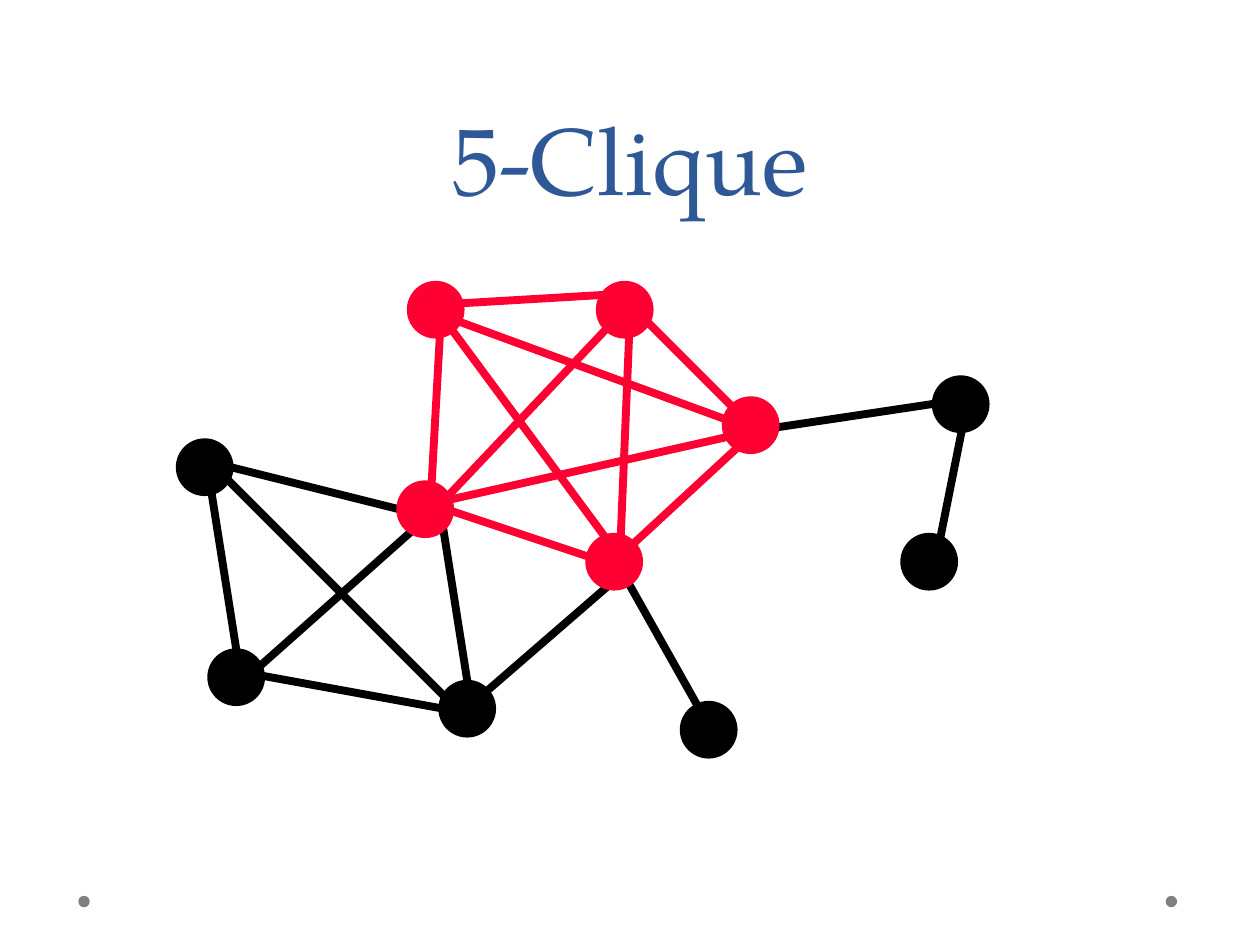
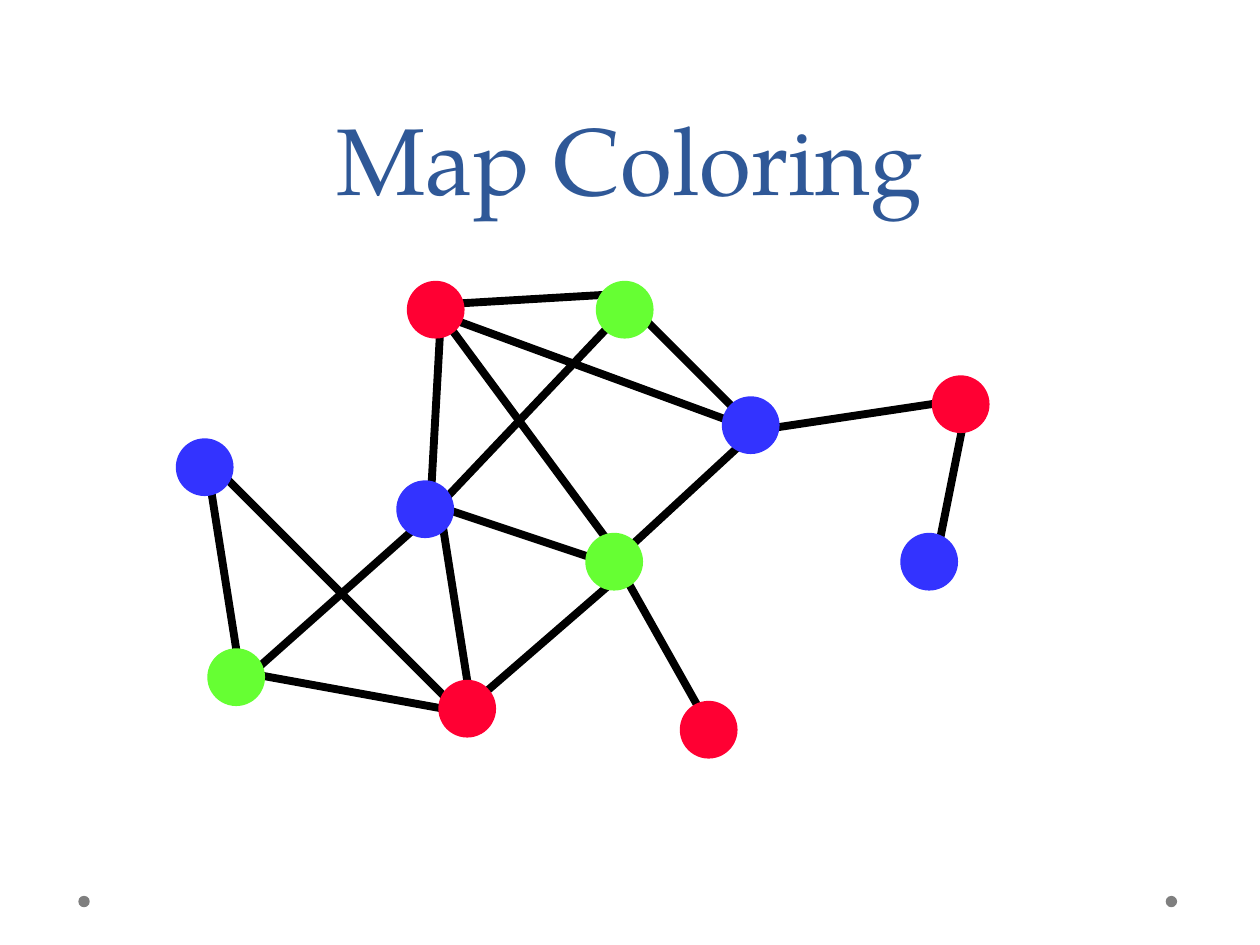
from dataclasses import dataclass

from lxml.etree import SubElement
from pptx import Presentation
from pptx.dml.color import RGBColor
from pptx.enum.shapes import MSO_CONNECTOR, MSO_SHAPE
from pptx.enum.text import MSO_ANCHOR, PP_ALIGN
from pptx.oxml.ns import qn
from pptx.util import Cm, Pt


@dataclass(frozen=True)
class Theme:
    font: str = "TeX Gyre Pagella"
    title_size: int = 54
    title_leading: int = 58
    edge_width: float = 4.5
    node_outline: float = 3
    title: str = "2F5897"
    footer: str = "7F7F7F"
    black: str = "000000"
    red: str = "FF0033"
    green: str = "66FF33"
    blue: str = "3333FF"


THEME = Theme()
GRID_CM = 2.54 / 12
NODE_SIZE = 5

NODES = {
    "top_left": (39, 27),
    "top_right": (57, 27),
    "right": (69, 38),
    "centre": (56, 51),
    "hub": (38, 46),
    "west": (17, 42),
    "southwest": (20, 62),
    "south": (42, 65),
    "tail": (65, 67),
    "east": (89, 36),
    "far_east": (86, 51),
}

EDGES = {
    ("west", "southwest"): (20, 46, 23, 65),
    ("southwest", "hub"): (23, 65, 41, 49),
    ("top_left", "hub"): (42, 30, 41, 48),
    ("hub", "south"): (42, 49, 45, 68),
    ("centre", "hub"): (59, 54, 41, 48),
    ("centre", "south"): (60, 54, 45, 67),
    ("top_right", "centre"): (60, 30, 59, 54),
    ("top_right", "right"): (61, 30, 71, 40),
    ("centre", "tail"): (59, 54, 68, 70),
    ("east", "far_east"): (92, 39, 89, 54),
    ("east", "right"): (92, 38, 72, 41),
    ("top_right", "top_left"): (59, 28, 42, 29),
    ("top_right", "hub"): (59, 30, 41, 49),
    ("top_left", "centre"): (42, 30, 59, 53),
    ("right", "centre"): (72, 41, 59, 53),
    ("right", "top_left"): (72, 41, 42, 30),
    ("hub", "right"): (41, 48, 72, 41),
    ("west", "south"): (20, 44, 44, 68),
    ("hub", "west"): (40, 49, 20, 44),
    ("southwest", "south"): (23, 64, 45, 68),
}

CLIQUE = {"top_left", "top_right", "right", "centre", "hub"}

MAP_COLORS = {
    THEME.red: ("top_left", "south", "tail", "east"),
    THEME.green: ("top_right", "centre", "southwest"),
    THEME.blue: ("west", "hub", "right", "far_east"),
}


def grid(*steps):
    return [Cm(step * GRID_CM) for step in steps]


def add_text(slide, text, *, box, size, leading, color, font=THEME.font,
             align=PP_ALIGN.CENTER, anchor=MSO_ANCHOR.BOTTOM):
    frame = slide.shapes.add_textbox(*box).text_frame
    frame.word_wrap = True
    frame.vertical_anchor = anchor
    paragraph = frame.paragraphs[0]
    paragraph.alignment = align
    paragraph.line_spacing = Pt(leading)
    run = paragraph.add_run()
    run.text = text
    run.font.name = font
    run.font.size = Pt(size)
    run.font.color.rgb = RGBColor.from_string(color)


def add_dot(shapes, left, top, size, color, outline=0):
    dot = shapes.add_shape(MSO_SHAPE.OVAL, left, top, size, size)
    dot.shadow.inherit = False
    dot.fill.solid()
    dot.fill.fore_color.rgb = RGBColor.from_string(color)
    if outline:
        dot.line.color.rgb = RGBColor.from_string(color)
        dot.line.width = Pt(outline)
    else:
        dot.line.fill.background()


def add_edge(shapes, ends, color):
    edge = shapes.add_connector(MSO_CONNECTOR.STRAIGHT, *grid(*ends))
    edge.line.color.rgb = RGBColor.from_string(color)
    edge.line.width = Pt(THEME.edge_width)
    SubElement(edge._element.spPr, qn("a:effectLst"))


def add_graph(slide, edge_colors, node_colors):
    graph = slide.shapes.add_group_shape().shapes
    for pair, color in edge_colors.items():
        add_edge(graph, EDGES[pair], color)
    for node, corner in NODES.items():
        add_dot(graph, *grid(*corner, NODE_SIZE), node_colors[node], THEME.node_outline)


def add_titled_slide(deck, title):
    slide = deck.slides.add_slide(deck.slide_layouts[6])
    for left in (1.58, 23.5):
        add_dot(slide.shapes, Cm(left), Cm(18.06), Cm(0.23), THEME.footer)
    add_text(slide, title, box=grid(6, 0, 108, 21), size=THEME.title_size,
             leading=THEME.title_leading, color=THEME.title)
    return slide


def add_clique_slide(deck):
    def clique_color(*members):
        return THEME.red if CLIQUE.issuperset(members) else THEME.black

    add_graph(
        add_titled_slide(deck, "5-Clique"),
        {pair: clique_color(*pair) for pair in EDGES},
        {node: clique_color(node) for node in NODES},
    )


def add_coloring_slide(deck):
    colors = {node: color for color, nodes in MAP_COLORS.items() for node in nodes}
    add_graph(
        add_titled_slide(deck, "Map Coloring"),
        {(start, end): THEME.black for start, end in EDGES if colors[start] != colors[end]},
        colors,
    )


def main():
    deck = Presentation()
    deck.slide_width, deck.slide_height = Cm(25.4), Cm(19.05)
    add_clique_slide(deck)
    add_coloring_slide(deck)
    deck.save("out.pptx")


if __name__ == "__main__":
    main()
